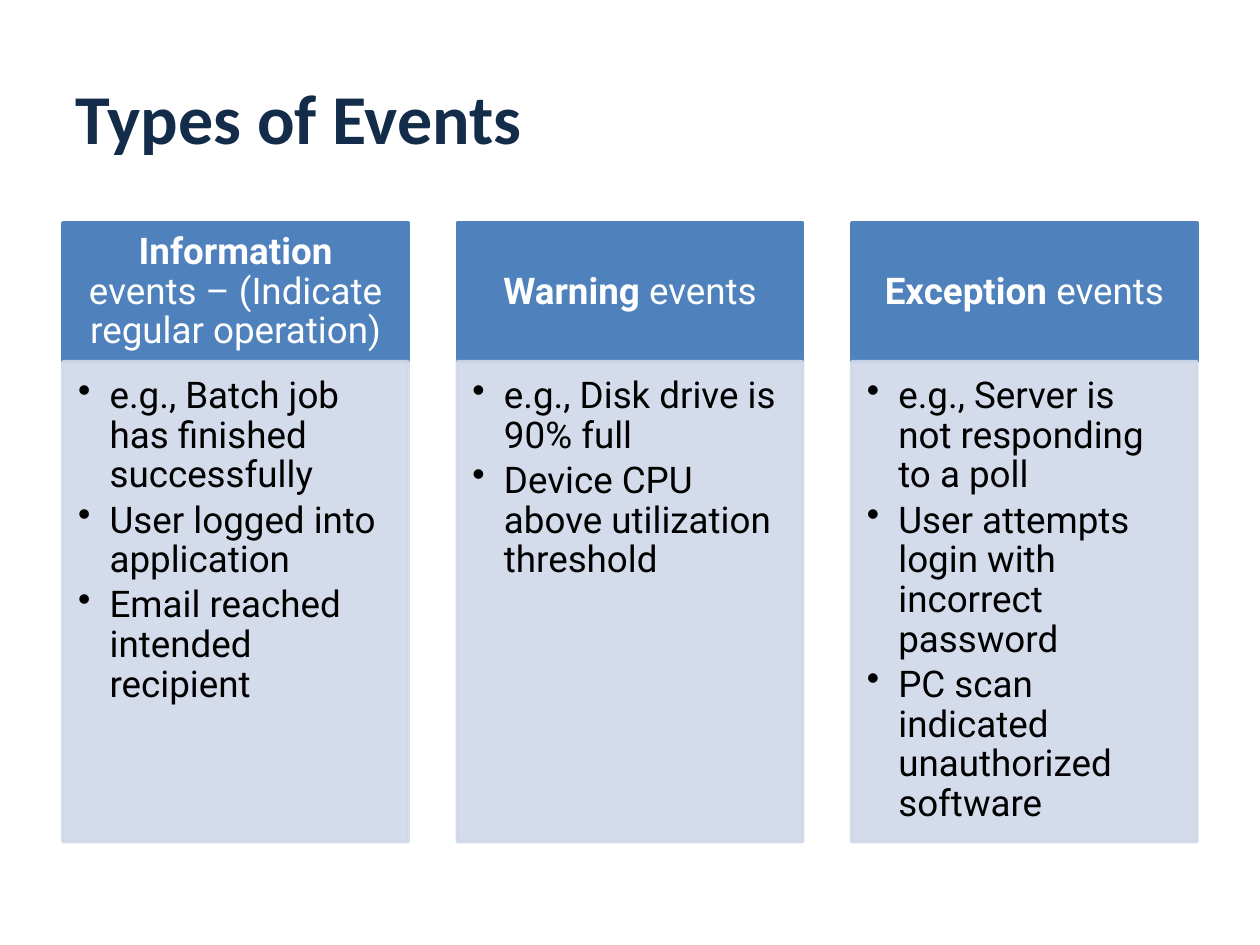
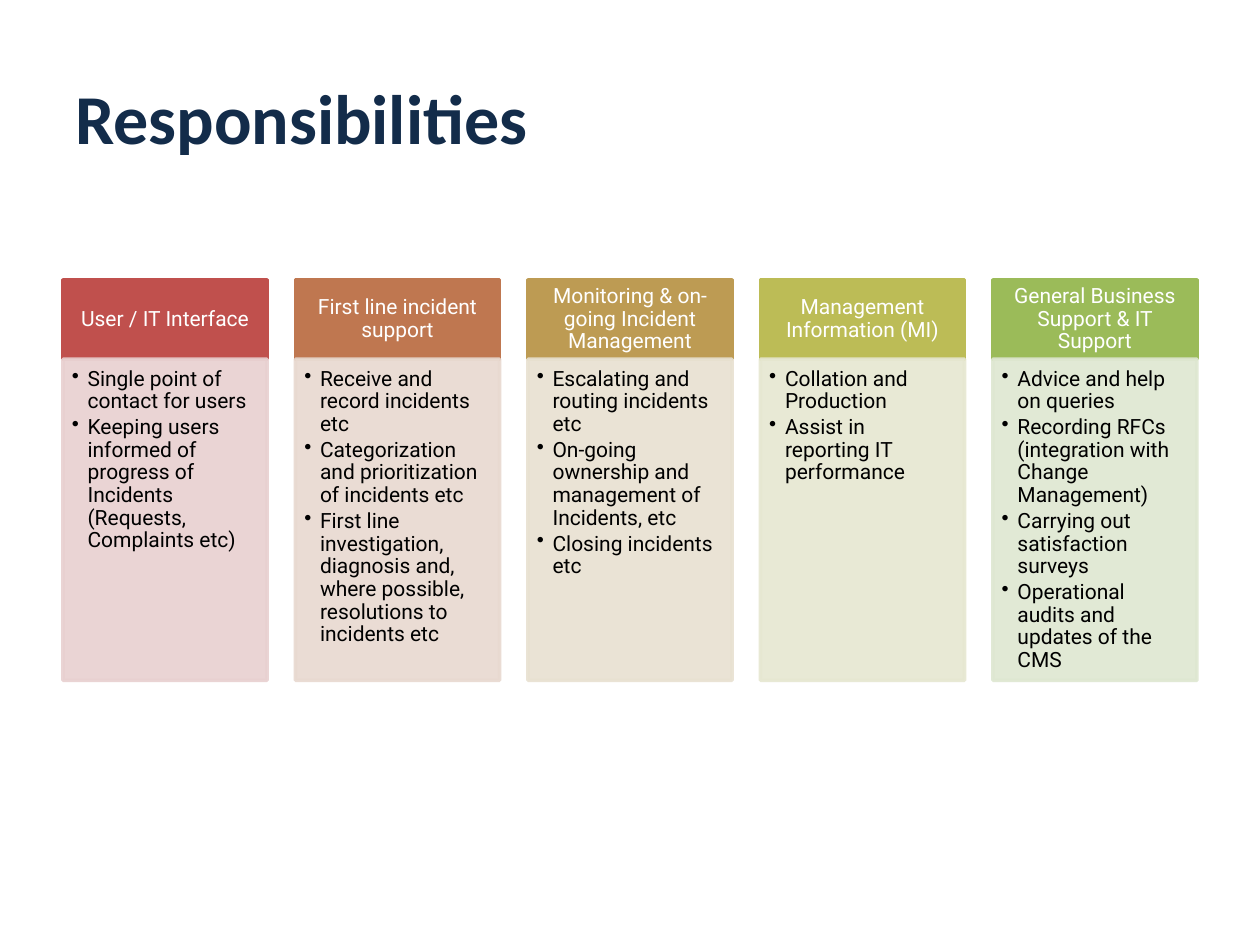
"""Build two slides of headed columns with bulleted lists."""
from dataclasses import dataclass

from lxml import etree
from pptx import Presentation
from pptx.dml.color import RGBColor
from pptx.enum import shapes, text
from pptx.oxml.ns import qn
from pptx.util import Inches, Pt


@dataclass(frozen=True)
class Theme:
    navy: str = "132C4A"
    white: str = "FFFFFF"
    black: str = "000000"
    blue: str = "4F81BD"
    pale: str = "D0D8E8"
    head_face: str = "Calibri"
    face: str = "Roboto"
    title: int = 40
    line: int = 2
    alpha: int = 90
    left: float = 0.5
    span: float = 9


@dataclass(frozen=True)
class Grid:
    top: float
    width: float
    head: float
    body: float
    size: int
    indent: float
    head_pad: tuple
    body_pad: tuple


THEME = Theme()
WIDE = Grid(1.77, 2.74, 1.1, 3.81, 21, 0.25,
            (0.16, 0.09, 0.16, 0.09), (0.12, 0.12, 0.16, 0.18))
SLIM = Grid(2.22, 1.62, 0.63, 2.55, 12, 0.125,
            (0.09, 0.05, 0.09, 0.05), (0.07, 0.07, 0.09, 0.1))

EVENTS = [
    ("Information ", "events – (Indicate regular operation)", THEME.blue, THEME.pale,
     ["e.g., Batch job has finished successfully",
      "User logged into application",
      "Email reached intended recipient"]),
    ("Warning ", "events", THEME.blue, THEME.pale,
     ["e.g., Disk drive is 90% full",
      "Device CPU above utilization threshold"]),
    ("Exception ", "events", THEME.blue, THEME.pale,
     ["e.g., Server is not responding to a poll",
      "User attempts login with incorrect password",
      "PC scan indicated unauthorized software"]),
]
DUTIES = [
    ("", "User / IT Interface", "C0504D", "E8D0D0",
     ["Single point of contact for users",
      "Keeping users informed of progress of Incidents (Requests, Complaints etc)"]),
    ("", "First line incident support", "BF7750", "E8D9D0",
     ["Receive and record incidents etc",
      "Categorization and prioritization of incidents etc",
      "First line investigation, diagnosis and, where possible, "
      "resolutions to incidents etc"]),
    ("", "Monitoring & on-going Incident Management", "BD9B53", "E8E1D1",
     ["Escalating and routing incidents etc",
      "On-going ownership and management of Incidents, etc",
      "Closing incidents etc"]),
    ("", "Management Information (MI)", "BCBC56", "E6E7D1",
     ["Collation and Production",
      "Assist in reporting IT performance"]),
    ("", "General Business Support & IT Support", "9BBB59", "DEE7D1",
     ["Advice and help on queries",
      "Recording RFCs (integration with Change Management)",
      "Carrying out satisfaction surveys",
      "Operational audits and updates of the CMS"]),
]


def style(item, face, size, tint):
    item.font.name = face
    item.font.size = Pt(size)
    item.font.color.rgb = RGBColor.from_string(tint)


def add_title(slide, words):
    box = slide.shapes.add_textbox(
        Inches(THEME.left), Inches(0.3), Inches(THEME.span), Inches(1.25))
    frame = box.text_frame
    frame.word_wrap = True
    frame.vertical_anchor = text.MSO_ANCHOR.MIDDLE
    para = frame.paragraphs[0]
    para.text = words
    style(para, THEME.head_face, THEME.title, THEME.navy)
    para.font.bold = True


def add_panel(slide, place, tint, pad, anchor):
    panel = slide.shapes.add_shape(
        shapes.MSO_SHAPE.RECTANGLE, *(Inches(side) for side in place))
    panel.shadow.inherit = False
    panel.fill.solid()
    panel.fill.fore_color.rgb = RGBColor.from_string(tint)
    panel.line.color.rgb = RGBColor.from_string(tint)
    panel.line.width = Pt(THEME.line)
    frame = panel.text_frame
    frame.word_wrap = True
    frame.vertical_anchor = anchor
    (frame.margin_left, frame.margin_top,
     frame.margin_right, frame.margin_bottom) = (Inches(side) for side in pad)
    return panel


def fade(panel):
    for tint in panel.element.spPr.iter(qn("a:srgbClr")):
        etree.SubElement(tint, qn("a:alpha"), val=str(THEME.alpha * 1000))


def add_head(slide, grid, left, strong, plain, tint):
    panel = add_panel(slide, (left, grid.top, grid.width, grid.head),
                      tint, grid.head_pad, text.MSO_ANCHOR.MIDDLE)
    para = panel.text_frame.paragraphs[0]
    para.alignment = text.PP_ALIGN.CENTER
    para.line_spacing = 0.9
    style(para, THEME.face, grid.size, THEME.white)
    if strong:
        run = para.add_run()
        run.text = strong
        run.font.bold = True
    para.add_run().text = plain


def add_bullet(para, indent):
    props = para._p.get_or_add_pPr()
    props.set("marL", str(Inches(indent)))
    props.set("indent", str(-Inches(indent)))
    etree.SubElement(props, qn("a:buChar"), char="•")


def add_list(slide, grid, left, tint, points):
    panel = add_panel(slide, (left, grid.top + grid.head, grid.width, grid.body),
                      tint, grid.body_pad, text.MSO_ANCHOR.TOP)
    fade(panel)
    frame = panel.text_frame
    for rank, point in enumerate(points):
        para = frame.add_paragraph() if rank else frame.paragraphs[0]
        para.text = point
        add_bullet(para, grid.indent)
        para.alignment = text.PP_ALIGN.LEFT
        para.line_spacing = 0.9
        para.space_after = Pt(grid.size * 0.15)
        style(para, THEME.face, grid.size, THEME.black)


def add_slide(deck, title, grid, columns):
    slide = deck.slides.add_slide(deck.slide_layouts[6])
    add_title(slide, title)
    step = (THEME.span - grid.width) / (len(columns) - 1)
    for rank, (strong, plain, dark, light, points) in enumerate(columns):
        left = THEME.left + rank * step
        add_head(slide, grid, left, strong, plain, dark)
        add_list(slide, grid, left, light, points)


def main():
    deck = Presentation()
    deck.slide_width, deck.slide_height = Inches(10), Inches(7.5)
    add_slide(deck, "Types of Events", WIDE, EVENTS)
    add_slide(deck, "Responsibilities", SLIM, DUTIES)
    deck.save("out.pptx")


if __name__ == "__main__":
    main()
